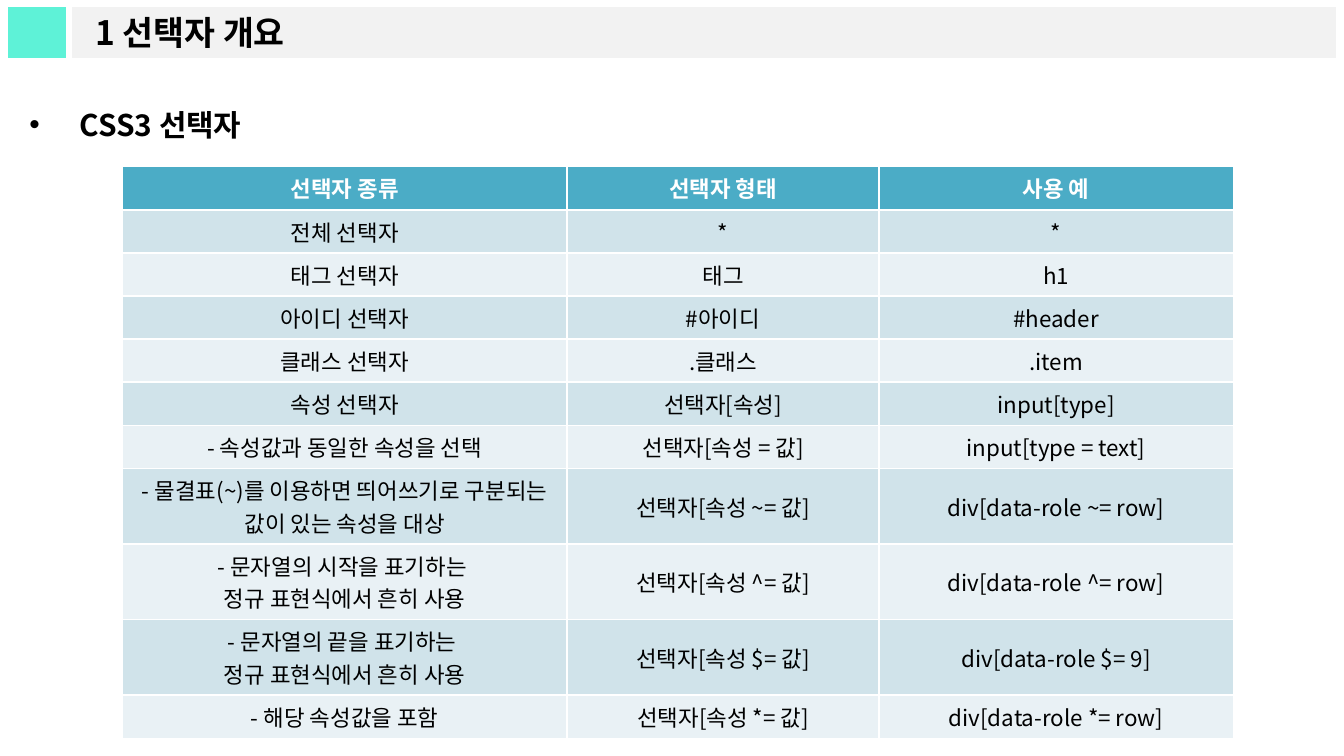
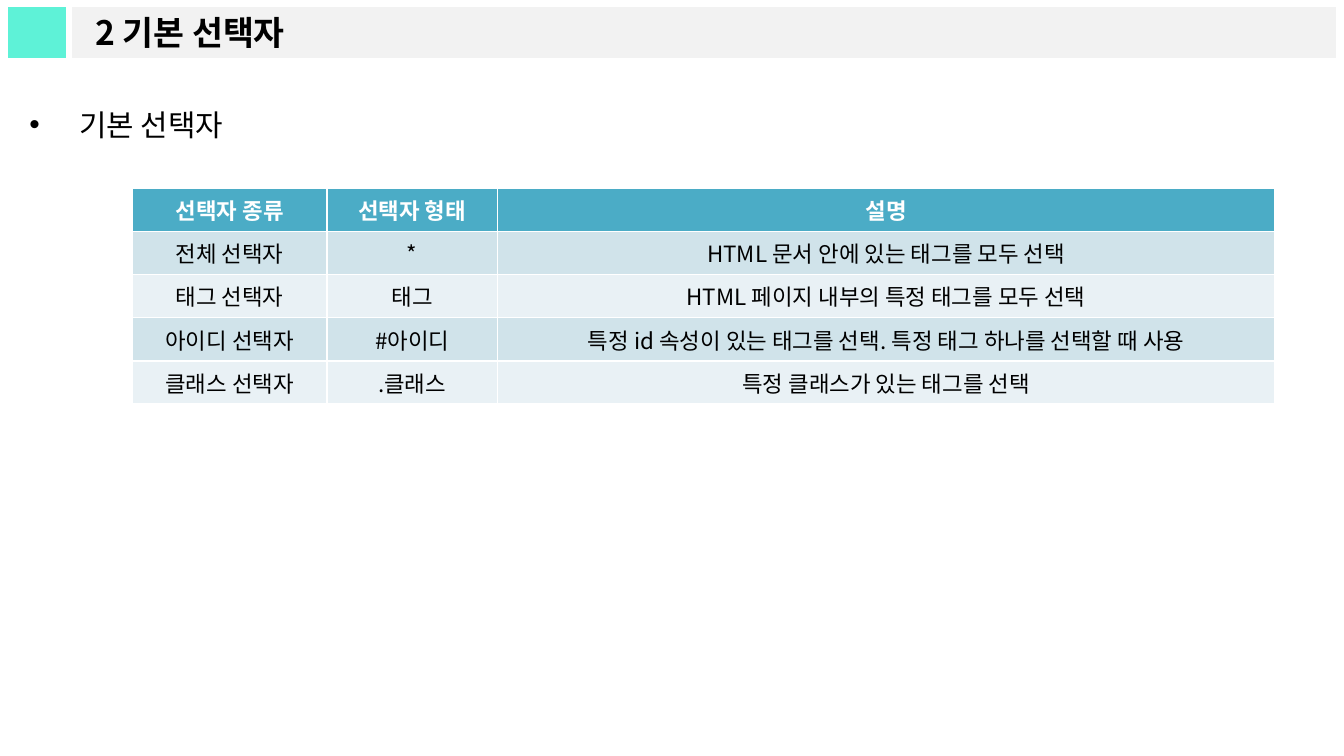
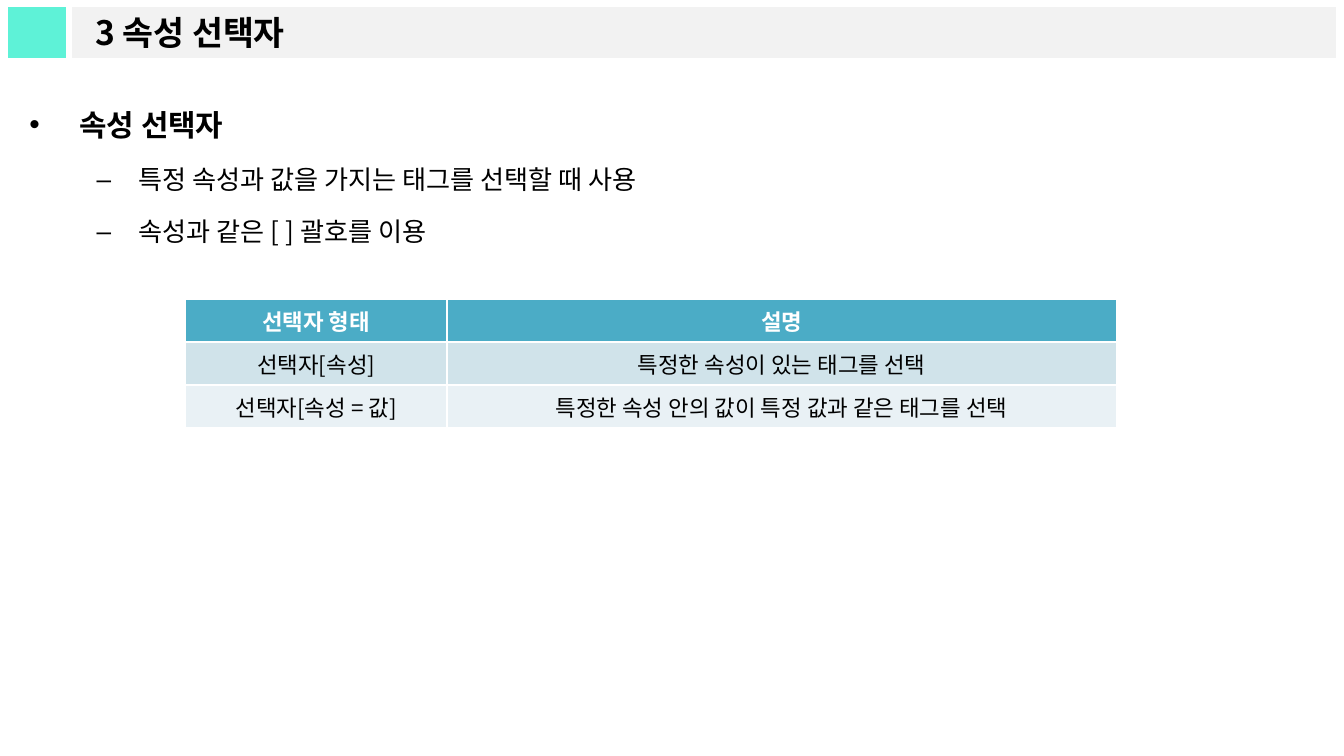
"""Build three slides on CSS3 selectors, each with a title band, a list and a table."""
from pptx import Presentation
from pptx.dml.color import RGBColor
from pptx.enum.shapes import MSO_SHAPE
from pptx.enum.text import MSO_ANCHOR, MSO_AUTO_SIZE, PP_ALIGN
from pptx.oxml.ns import qn
from pptx.util import Cm, Pt

COLORS = {
    "accent": "5EF2D7",
    "band": "F2F2F2",
    "header": "4BACC6",
    "odd_row": "D0E3EA",
    "even_row": "E9F1F5",
    "white": "FFFFFF",
    "text": "000000",
}


class Deck:
    FONT = "Noto Sans CJK KR"
    BAND_TOP, BAND_HEIGHT = Cm(0.08), Cm(1.07)
    LEVELS = [(16, 0.95, -0.95), (14, 2.06, -0.79)]

    def __init__(self):
        self.prs = Presentation()
        self.prs.slide_width, self.prs.slide_height = Cm(25.4), Cm(14.29)
        self.slide = None

    def color(self, name):
        return RGBColor.from_string(COLORS[name])

    def paint(self, shape, fill):
        shape.fill.solid()
        shape.fill.fore_color.rgb = self.color(fill)
        shape.line.color.rgb = self.color("white")
        shape.line.width = Pt(3)

    def place(self, shape, left, top, width, height):
        shape.left, shape.top, shape.width, shape.height = left, top, width, height

    def style_text(self, paragraph, text, size, color="text", bold=False):
        paragraph.text = text
        for run in paragraph.runs:
            font = run.font
            font.name, font.size, font.bold = self.FONT, Pt(size), bold
            font.color.rgb = self.color(color)
            properties = run._r.get_or_add_rPr()
            east_asian = properties.makeelement(qn("a:ea"), {"typeface": self.FONT})
            properties.find(qn("a:latin")).addnext(east_asian)

    def new_slide(self, title):
        self.slide = self.prs.slides.add_slide(self.prs.slide_layouts[1])
        square = self.slide.shapes.add_shape(
            MSO_SHAPE.RECTANGLE, Cm(0.1), self.BAND_TOP, Cm(1.2), self.BAND_HEIGHT)
        square.shadow.inherit = False
        self.paint(square, "accent")

        band = self.slide.shapes.title
        self.place(band, Cm(1.3), self.BAND_TOP, Cm(24), self.BAND_HEIGHT)
        self.paint(band, "band")
        frame = band.text_frame
        frame.auto_size = MSO_AUTO_SIZE.NONE
        frame.vertical_anchor = MSO_ANCHOR.MIDDLE
        frame.margin_left = Cm(0.5)
        self.style_text(frame.paragraphs[0], title, 18, bold=True)
        frame.paragraphs[0].alignment = PP_ALIGN.LEFT

    def bullets(self, heading, *details, bold=True):
        body = self.slide.placeholders[1]
        self.place(body, Cm(0.3), Cm(1.55), Cm(25), Cm(12.3))
        frame = body.text_frame
        frame.auto_size = MSO_AUTO_SIZE.NONE
        for index, text in enumerate((heading, *details)):
            level = min(index, 1)
            paragraph = frame.add_paragraph() if index else frame.paragraphs[0]
            size, margin, indent = self.LEVELS[level]
            self.style_text(paragraph, text, size, bold=bold and level == 0)
            paragraph.level = level
            paragraph.line_spacing = 1.5
            properties = paragraph._p.get_or_add_pPr()
            properties.set("marL", str(Cm(margin)))
            properties.set("indent", str(Cm(indent)))

    def table(self, left, top, widths, rows, row_height=0.7, tall_rows=()):
        heights = [1.35 if r in tall_rows else row_height for r in range(len(rows))]
        table = self.slide.shapes.add_table(
            len(rows), len(widths), Cm(left), Cm(top), Cm(sum(widths)), Cm(sum(heights))).table
        for column, width in zip(table.columns, widths):
            column.width = Cm(width)
        for r, texts in enumerate(rows):
            table.rows[r].height = Cm(heights[r])
            fill = "header" if r == 0 else "odd_row" if r % 2 else "even_row"
            for c, text in enumerate(texts):
                self.fill_cell(table.cell(r, c), text, fill, is_header=r == 0)

    def fill_cell(self, cell, text, fill, is_header):
        cell.fill.solid()
        cell.fill.fore_color.rgb = self.color(fill)
        cell.vertical_anchor = MSO_ANCHOR.MIDDLE
        cell.margin_top = cell.margin_bottom = Cm(0.1)
        paragraph = cell.text_frame.paragraphs[0]
        paragraph.alignment = PP_ALIGN.CENTER
        self.style_text(paragraph, text, 12, "white" if is_header else "text", is_header)


deck = Deck()

deck.new_slide("1 선택자 개요")
deck.bullets("CSS3 선택자")
deck.table(2.31, 3.15, [8.41, 5.89, 6.7], [
    ("선택자 종류", "선택자 형태", "사용 예"),
    ("전체 선택자", "*", "*"),
    ("태그 선택자", "태그", "h1"),
    ("아이디 선택자", "#아이디", "#header"),
    ("클래스 선택자", ".클래스", ".item"),
    ("속성 선택자", "선택자[속성]", "input[type]"),
    ("- 속성값과 동일한 속성을 선택", "선택자[속성 = 값]", "input[type = text]"),
    ("- 물결표(~)를 이용하면 띄어쓰기로 구분되는 값이 있는 속성을 대상",
     "선택자[속성 ~= 값]", "div[data-role ~= row]"),
    ("- 문자열의 시작을 표기하는 \v정규 표현식에서 흔히 사용",
     "선택자[속성 ^= 값]", "div[data-role ^= row]"),
    ("- 문자열의 끝을 표기하는 \v정규 표현식에서 흔히 사용",
     "선택자[속성 $= 값]", "div[data-role $= 9]"),
    ("- 해당 속성값을 포함", "선택자[속성 *= 값]", "div[data-role *= row]"),
], row_height=0.76, tall_rows=(7, 8, 9))

deck.new_slide("2 기본 선택자")
deck.bullets("기본 선택자", bold=False)
deck.table(2.5, 3.56, [3.68, 3.22, 14.7], [
    ("선택자 종류", "선택자 형태", "설명"),
    ("전체 선택자", "*", "HTML 문서 안에 있는 태그를 모두 선택"),
    ("태그 선택자", "태그", "HTML 페이지 내부의 특정 태그를 모두 선택"),
    ("아이디 선택자", "#아이디", "특정 id 속성이 있는 태그를 선택. 특정 태그 하나를 선택할 때 사용"),
    ("클래스 선택자", ".클래스", "특정 클래스가 있는 태그를 선택"),
])

deck.new_slide("3 속성 선택자")
deck.bullets("속성 선택자", "특정 속성과 값을 가지는 태그를 선택할 때 사용", "속성과 같은 [ ] 괄호를 이용")
deck.table(3.5, 5.65, [4.95, 12.65], [
    ("선택자 형태", "설명"),
    ("선택자[속성]", "특정한 속성이 있는 태그를 선택"),
    ("선택자[속성 = 값]", "특정한 속성 안의 값이 특정 값과 같은 태그를 선택"),
])

deck.prs.save("out.pptx")
